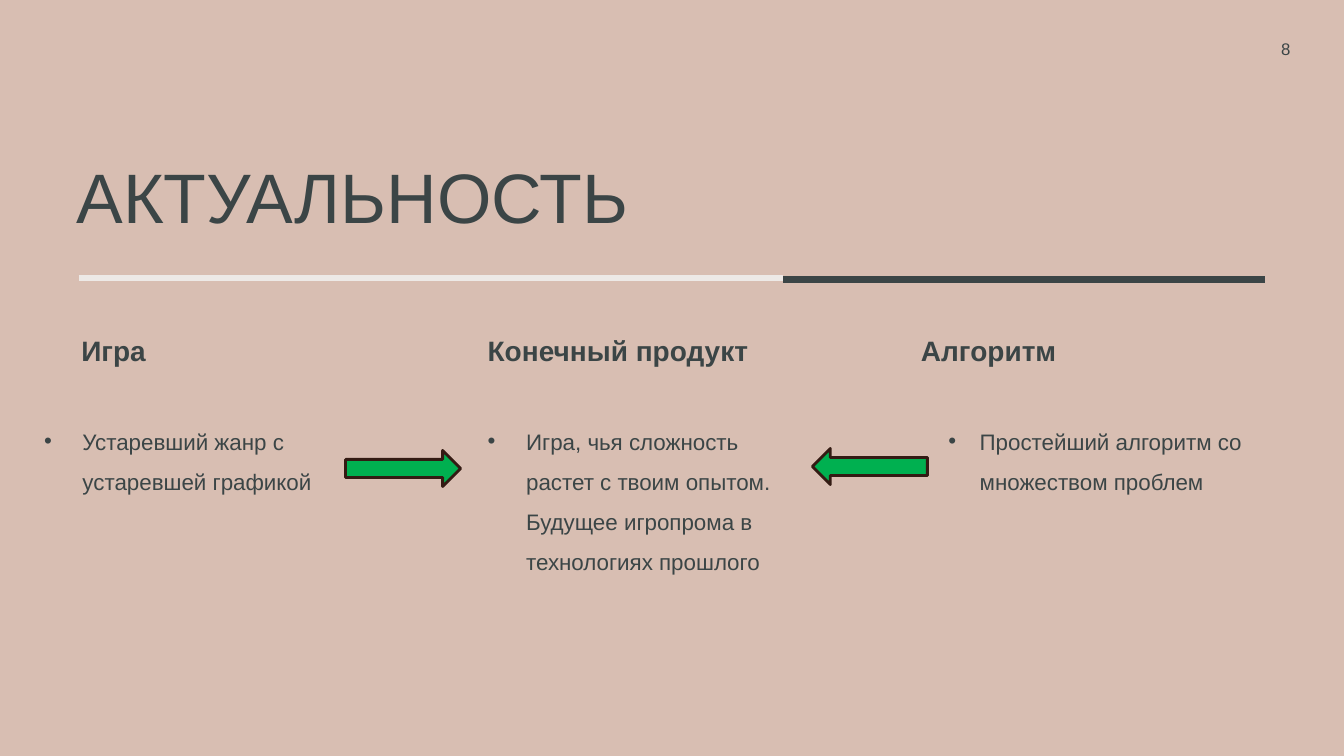
from lxml import etree
from pptx import Presentation
from pptx import util as u
from pptx.dml.color import RGBColor
from pptx.enum import shapes, text
from pptx.oxml import ns

SAND = RGBColor(0xD8, 0xBE, 0xB2)
SLATE = RGBColor(0x3B, 0x45, 0x46)
IVORY = RGBColor(0xED, 0xE9, 0xE6)
GREEN = RGBColor(0x00, 0xB0, 0x50)
BROWN = RGBColor(0x33, 0x1B, 0x13)


class Board:
    """Draws styled elements on one slide, with lengths in centimetres."""

    font = "Arial"
    ink = SLATE

    def __init__(self, slide):
        self.slide = slide
        slide.background.fill.solid()
        slide.background.fill.fore_color.rgb = SAND

    def label(self, box, wording, size, bold=False, spacing=1.0, inset=0.13,
              align=text.PP_ALIGN.LEFT, anchor=text.MSO_ANCHOR.TOP):
        frame = self.slide.shapes.add_textbox(*map(u.Cm, box)).text_frame
        frame.word_wrap = True
        frame.vertical_anchor = anchor
        frame.margin_top = u.Cm(inset)
        paragraph = frame.paragraphs[0]
        paragraph.alignment = align
        paragraph.line_spacing = spacing
        run = paragraph.add_run()
        run.text = wording
        run.font.name = self.font
        run.font.size = u.Pt(size)
        run.font.bold = bold
        run.font.color.rgb = self.ink
        return paragraph

    def bullet(self, box, wording, indent):
        properties = self.label(box, wording, 16, spacing=1.5)._p.get_or_add_pPr()
        properties.set("marL", str(u.Cm(indent)))
        properties.set("indent", str(-u.Cm(indent)))
        etree.SubElement(properties, ns.qn("a:buFont"), typeface=self.font)
        etree.SubElement(properties, ns.qn("a:buChar"), char="•")

    def rule(self, left, right, y, color):
        line = self.slide.shapes.add_connector(
            shapes.MSO_CONNECTOR.STRAIGHT, *map(u.Cm, (left, y, right, y)))
        line.line.color.rgb = color
        line.line.width = u.Pt(4.5)
        etree.SubElement(line._element.spPr, ns.qn("a:effectLst"))

    def arrow(self, left, top, rotation):
        arrow = self.slide.shapes.add_shape(
            shapes.MSO_SHAPE.RIGHT_ARROW, *map(u.Cm, (left, top, 2.9, 0.91)))
        arrow.rotation = rotation
        arrow.shadow.inherit = False
        arrow.fill.solid()
        arrow.fill.fore_color.rgb = GREEN
        arrow.line.color.rgb = BROWN
        arrow.line.width = u.Pt(2)


def main():
    deck = Presentation()
    deck.slide_width, deck.slide_height = u.Cm(33.87), u.Cm(19.05)
    board = Board(deck.slides.add_slide(deck.slide_layouts[6]))

    board.rule(1.98, 19.74, 7.01, IVORY)
    board.rule(19.74, 31.88, 7.04, SLATE)
    board.label((1.68, 4.06, 30.2, 1.96), "АКТУАЛЬНОСТЬ", 50, spacing=0.8, inset=0.22)
    board.label((28.12, 0.84, 4.65, 0.76), "8", 12,
                align=text.PP_ALIGN.RIGHT, anchor=text.MSO_ANCHOR.MIDDLE)

    columns = [
        ("Игра", 1.8, 8.92,
         "Устаревший жанр с устаревшей графикой", 0.86, 9.12, 2.34, 0.97),
        ("Конечный продукт", 12.04, 9.7,
         "Игра, чья сложность растет с твоим опытом. "
         "Будущее игропрома в технологиях прошлого", 12.04, 8.15, 4.32, 0.97),
        ("Алгоритм", 22.96, 9.12,
         "Простейший алгоритм со множеством проблем", 23.65, 9.12, 3.96, 0.79),
    ]
    for heading, head_left, head_width, point, left, width, height, indent in columns:
        board.label((head_left, 8.28, head_width, 1.24), heading, 20, bold=True)
        board.bullet((left, 10.31, width, height), point, indent)

    board.arrow(8.71, 11.35, 0)
    board.arrow(20.47, 11.3, 180)
    deck.save("out.pptx")


if __name__ == "__main__":
    main()
